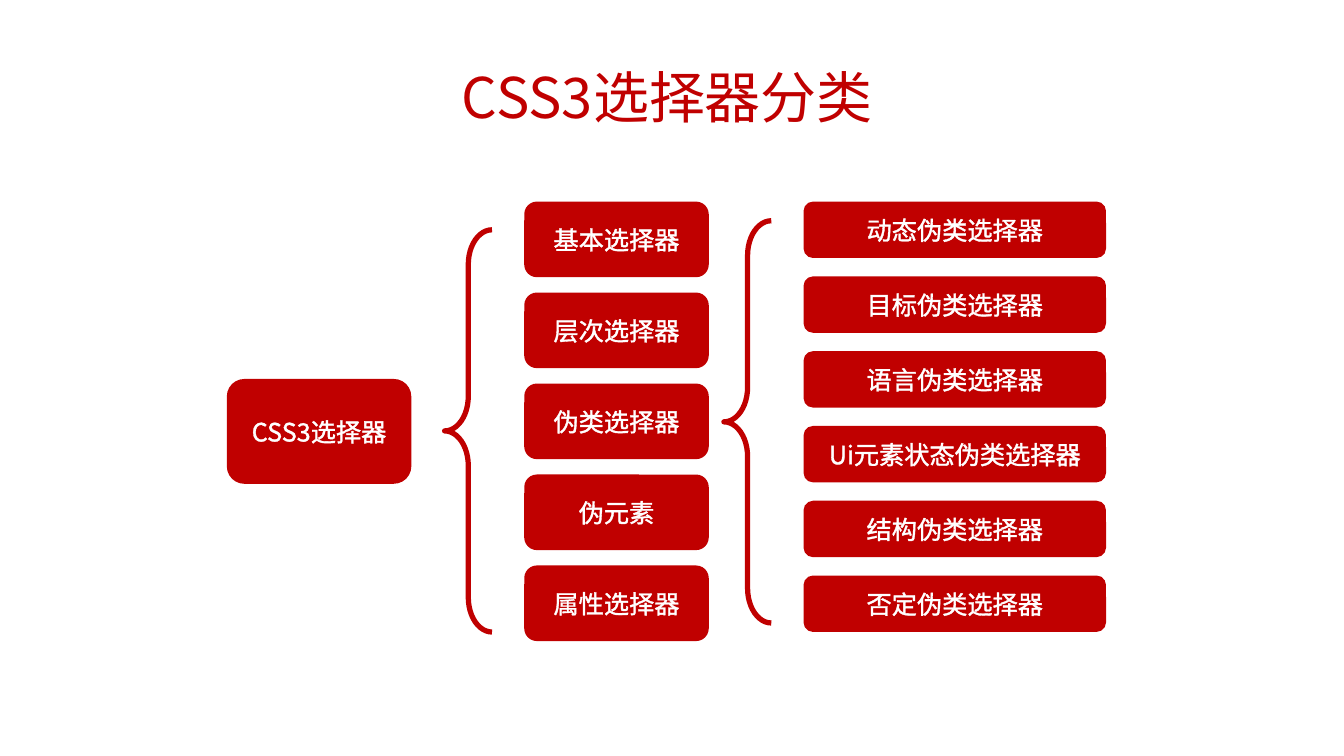
from lxml.etree import SubElement
from pptx import Presentation
from pptx.dml.color import RGBColor
from pptx.enum.shapes import MSO_SHAPE as Preset
from pptx.enum.text import MSO_ANCHOR as Anchor, MSO_AUTO_SIZE as AutoSize, PP_ALIGN as Align
from pptx.oxml import parse_xml
from pptx.oxml.ns import nsdecls, qn
from pptx.util import Inches, Pt

RED = RGBColor(0xC0, 0x00, 0x00)
WHITE = RGBColor(0xFF, 0xFF, 0xFF)
FONT = "Noto Sans CJK SC"

SELECTORS = ["基本选择器", "层次选择器", "伪类选择器", "伪元素", "属性选择器"]
PSEUDO_CLASSES = ["动态伪类选择器", "目标伪类选择器", "语言伪类选择器",
                  "Ui元素状态伪类选择器", "结构伪类选择器", "否定伪类选择器"]


def add_run(paragraph, words, size, color):
    run = paragraph.add_run()
    run.text = words
    run.font.name = FONT
    run.font.size = Pt(size)
    run.font.color.rgb = color
    SubElement(run.font._element, qn("a:ea"), typeface=FONT)
    return run


def outline_run(run, color, width):
    run.font._element.insert(0, parse_xml(
        f'<a:ln {nsdecls("a")} w="{Pt(width)}"><a:solidFill>'
        f'<a:srgbClr val="{color}"/></a:solidFill></a:ln>'))


def place(shape, box):
    shape.left, shape.top, shape.width, shape.height = map(Inches, box)


def add_heading(slide, box, words):
    heading = slide.shapes.title
    place(heading, box)
    frame = heading.text_frame
    frame.word_wrap = False
    frame.auto_size = AutoSize.SHAPE_TO_FIT_TEXT
    frame.vertical_anchor = Anchor.TOP
    paragraph = frame.paragraphs[0]
    paragraph.alignment = Align.CENTER
    paragraph.line_spacing = 1.5
    paragraph.space_before = Pt(0)
    add_run(paragraph, words, 40, RED)


def add_node(shapes, box, words):
    node = shapes.add_shape(Preset.ROUNDED_RECTANGLE, *map(Inches, box))
    node.shadow.inherit = False
    node.fill.solid()
    node.fill.fore_color.rgb = RED
    node.line.fill.background()
    frame = node.text_frame
    frame.word_wrap = True
    frame.vertical_anchor = Anchor.MIDDLE
    paragraph = frame.paragraphs[0]
    paragraph.alignment = Align.CENTER
    outline_run(add_run(paragraph, words, 18, WHITE), WHITE, 0.75)


def add_column(slide, box, node_height, labels):
    left, top, width, height = box
    pitch = (height - node_height) / (len(labels) - 1)
    column = slide.shapes.add_group_shape()
    for row, label in enumerate(labels):
        add_node(column.shapes, (left, top + row * pitch, width, node_height), label)


def add_brace(slide, box):
    brace = slide.shapes.add_shape(Preset.LEFT_BRACE, *map(Inches, box))
    brace.shadow.inherit = False
    brace.fill.background()
    brace.line.color.rgb = RED
    brace.line.width = Pt(3.75)
    brace.adjustments[0] = 0.73
    brace.adjustments[1] = 0.5


def build_selector_tree(slide):
    add_heading(slide, (4.41, 0.24, 4.42, 1.11), "CSS3选择器分类")
    add_node(slide.shapes, (2.25, 3.76, 1.83, 1.04), "CSS3选择器")
    add_column(slide, (5.2, 2, 1.83, 4.36), 0.75, SELECTORS)
    add_column(slide, (7.97, 2, 3, 4.27), 0.56, PSEUDO_CLASSES)
    add_brace(slide, (4.41, 2.28, 0.47, 3.99))
    add_brace(slide, (7.18, 2.19, 0.47, 3.99))


deck = Presentation()
deck.slide_width = Inches(13.33)
deck.slide_height = Inches(7.5)
TITLE_ONLY = 5
build_selector_tree(deck.slides.add_slide(deck.slide_layouts[TITLE_ONLY]))
deck.save("out.pptx")
